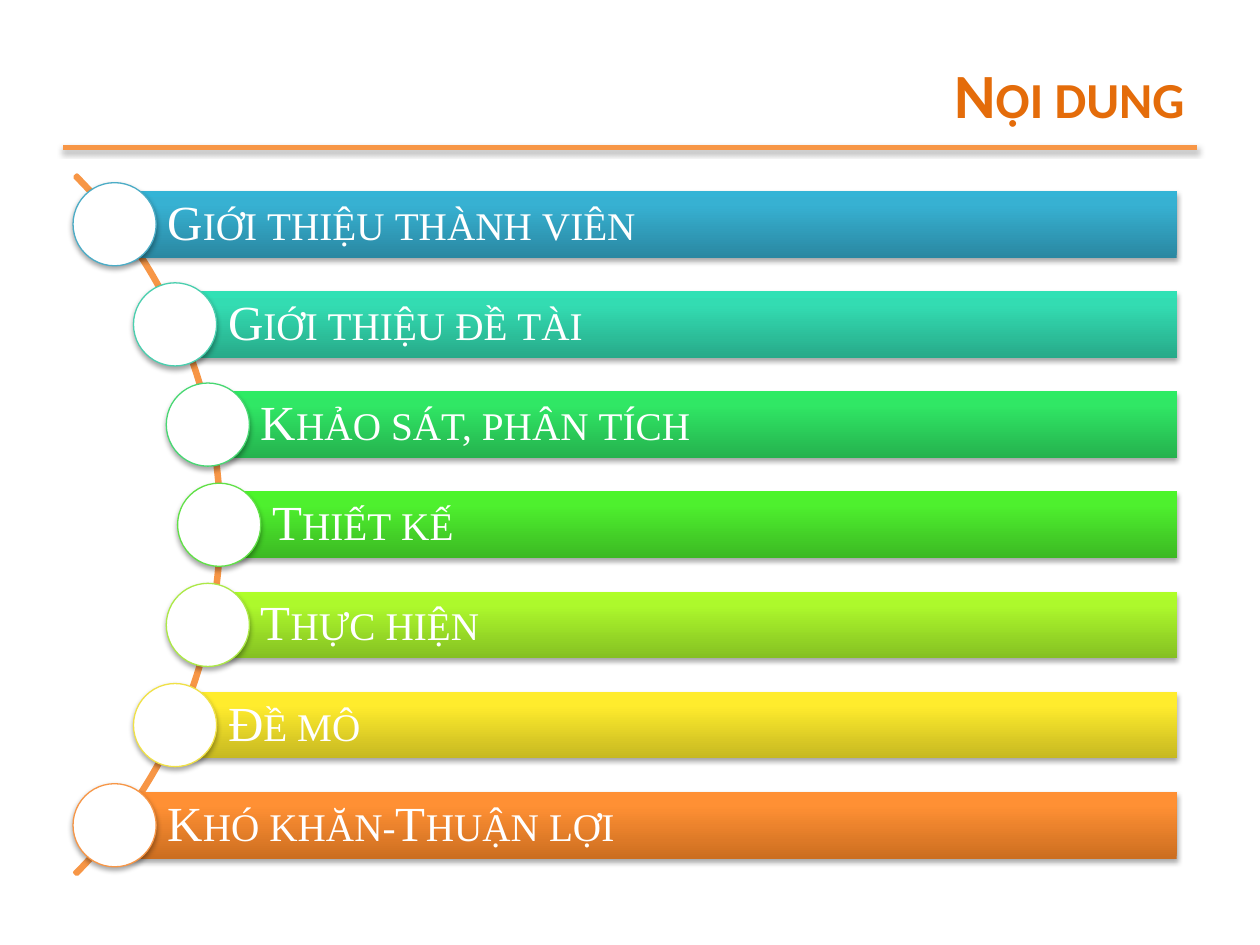
"""Build the agenda slide: seven coloured bars strung along an arc."""
from copy import deepcopy
from dataclasses import dataclass

from pptx import Presentation
from pptx.dml.color import RGBColor
from pptx.enum.shapes import MSO_CONNECTOR, MSO_SHAPE
from pptx.enum.text import MSO_ANCHOR, PP_ALIGN
from pptx.oxml import parse_xml
from pptx.oxml.ns import nsdecls, qn
from pptx.util import Inches, Pt

WHITE = RGBColor(0xFF, 0xFF, 0xFF)
ORANGE = RGBColor(0xF7, 0x96, 0x46)
TITLE_ORANGE = RGBColor(0xE4, 0x6C, 0x0A)

STOP_POSITIONS = (0, 0.8, 1)
FIRST_CENTER = 1.78
ROW_PITCH = 0.795
BAR_RIGHT = 9.34
BAR_HEIGHT = 0.53
CIRCLE_SIZE = 0.66
ARC_SIZE = 7.85


@dataclass(frozen=True)
class Topic:
    label: str
    bar_left: float
    gradient: tuple[RGBColor, RGBColor, RGBColor]
    outline: RGBColor


def shades(*codes: str) -> tuple[RGBColor, ...]:
    return tuple(RGBColor.from_string(code) for code in codes)


TOPICS = (
    Topic("Giới thiệu thành viên", 0.91, shades("2A88A2", "37B1D2", "34B4D6"), RGBColor(0x4B, 0xAC, 0xC6)),
    Topic("Giới thiệu đề tài", 1.39, shades("27AA89", "33DCB2", "30E1B5"), RGBColor(0x49, 0xCF, 0xAE)),
    Topic("Khảo sát, phân tích", 1.65, shades("25B24E", "30E765", "2DEB64"), RGBColor(0x47, 0xD8, 0x72)),
    Topic("Thiết kế", 1.74, shades("3CB923", "4EF02E", "4CF52A"), RGBColor(0x60, 0xE1, 0x46)),
    Topic("Thực hiện", 1.65, shades("85C022", "ADF92C", "AFFE28"), RGBColor(0xAC, 0xE9, 0x46)),
    Topic("Đề mô", 1.39, shades("C6B821", "FFEC2D", "FFED2E"), RGBColor(0xF0, 0xE1, 0x46)),
    Topic("Khó khăn-Thuận lợi", 0.91, shades("CC6E20", "FF9034", "FF9136"), ORANGE),
)


def add_soft_shadow(shape) -> None:
    properties = shape._element.spPr
    for effects in properties.findall(qn("a:effectLst")):
        properties.remove(effects)
    properties.append(parse_xml(
        f'<a:effectLst {nsdecls("a")}>'
        f'<a:outerShdw blurRad="{Pt(3.1)}" dist="{Pt(1.8)}" dir="5400000" rotWithShape="0">'
        '<a:srgbClr val="000000"><a:alpha val="35000"/></a:srgbClr>'
        '</a:outerShdw></a:effectLst>'
    ))


def write_text(frame, text: str, *, font: str, size: float, color: RGBColor,
               bold: bool = False, align=PP_ALIGN.LEFT, anchor=MSO_ANCHOR.MIDDLE,
               line_spacing: float = 1.0) -> None:
    frame.word_wrap = True
    frame.vertical_anchor = anchor
    paragraph = frame.paragraphs[0]
    paragraph.alignment = align
    paragraph.line_spacing = line_spacing
    run = paragraph.add_run()
    run.text = text
    run.font.name = font
    run.font.size = Pt(size)
    run.font.bold = bold
    run.font.color.rgb = color
    run._r.get_or_add_rPr().set("cap", "small")


def fill_gradient(shape, colors: tuple[RGBColor, ...]) -> None:
    shape.fill.gradient()
    shape.fill.gradient_angle = 90
    stop_list = shape._element.spPr.find(".//" + qn("a:gsLst"))
    stop_list.append(deepcopy(stop_list[-1]))
    for stop, position, color in zip(shape.fill.gradient_stops, STOP_POSITIONS, colors):
        stop.position = position
        stop.color.rgb = color


def add_header(slide) -> None:
    rule = slide.shapes.add_connector(
        MSO_CONNECTOR.STRAIGHT, Inches(0.5), Inches(1.17), Inches(9.5), Inches(1.17))
    rule.line.color.rgb = ORANGE
    rule.line.width = Pt(3)
    add_soft_shadow(rule)
    title = slide.shapes.add_textbox(Inches(1.75), Inches(0.17), Inches(7.75), Inches(0.92))
    write_text(title.text_frame, "Nội dung", font="Calibri", size=36, color=TITLE_ORANGE,
               bold=True, align=PP_ALIGN.RIGHT, anchor=MSO_ANCHOR.BOTTOM)


def add_arc(slide) -> None:
    arc = slide.shapes.add_shape(
        MSO_SHAPE.BLOCK_ARC, Inches(-6.09), Inches(0.24), Inches(ARC_SIZE), Inches(ARC_SIZE))
    for index, value in enumerate((189, 27, 0.003)):
        arc.adjustments[index] = value
    arc.fill.background()
    arc.line.color.rgb = ORANGE
    arc.line.width = Pt(2)
    arc.shadow.inherit = False


def add_topic(slide, topic: Topic, center: float) -> None:
    bar = slide.shapes.add_shape(
        MSO_SHAPE.RECTANGLE, Inches(topic.bar_left), Inches(center - BAR_HEIGHT / 2),
        Inches(BAR_RIGHT - topic.bar_left), Inches(BAR_HEIGHT))
    fill_gradient(bar, topic.gradient)
    bar.line.fill.background()
    add_soft_shadow(bar)
    frame = bar.text_frame
    frame.margin_left = Inches(0.42)
    frame.margin_top = frame.margin_right = frame.margin_bottom = Inches(0.08)
    write_text(frame, topic.label, font="Times New Roman", size=28, color=WHITE,
               line_spacing=0.9)

    circle = slide.shapes.add_shape(
        MSO_SHAPE.OVAL, Inches(topic.bar_left - CIRCLE_SIZE / 2),
        Inches(center - CIRCLE_SIZE / 2), Inches(CIRCLE_SIZE), Inches(CIRCLE_SIZE))
    circle.fill.solid()
    circle.fill.fore_color.rgb = WHITE
    circle.line.color.rgb = topic.outline
    circle.line.width = Pt(0.75)
    add_soft_shadow(circle)


def main() -> None:
    presentation = Presentation()
    presentation.slide_width = Inches(10)
    presentation.slide_height = Inches(7.5)
    slide = presentation.slides.add_slide(presentation.slide_layouts[6])
    add_header(slide)
    add_arc(slide)
    for row, topic in enumerate(TOPICS):
        add_topic(slide, topic, FIRST_CENTER + row * ROW_PITCH)
    presentation.save("out.pptx")


if __name__ == "__main__":
    main()
